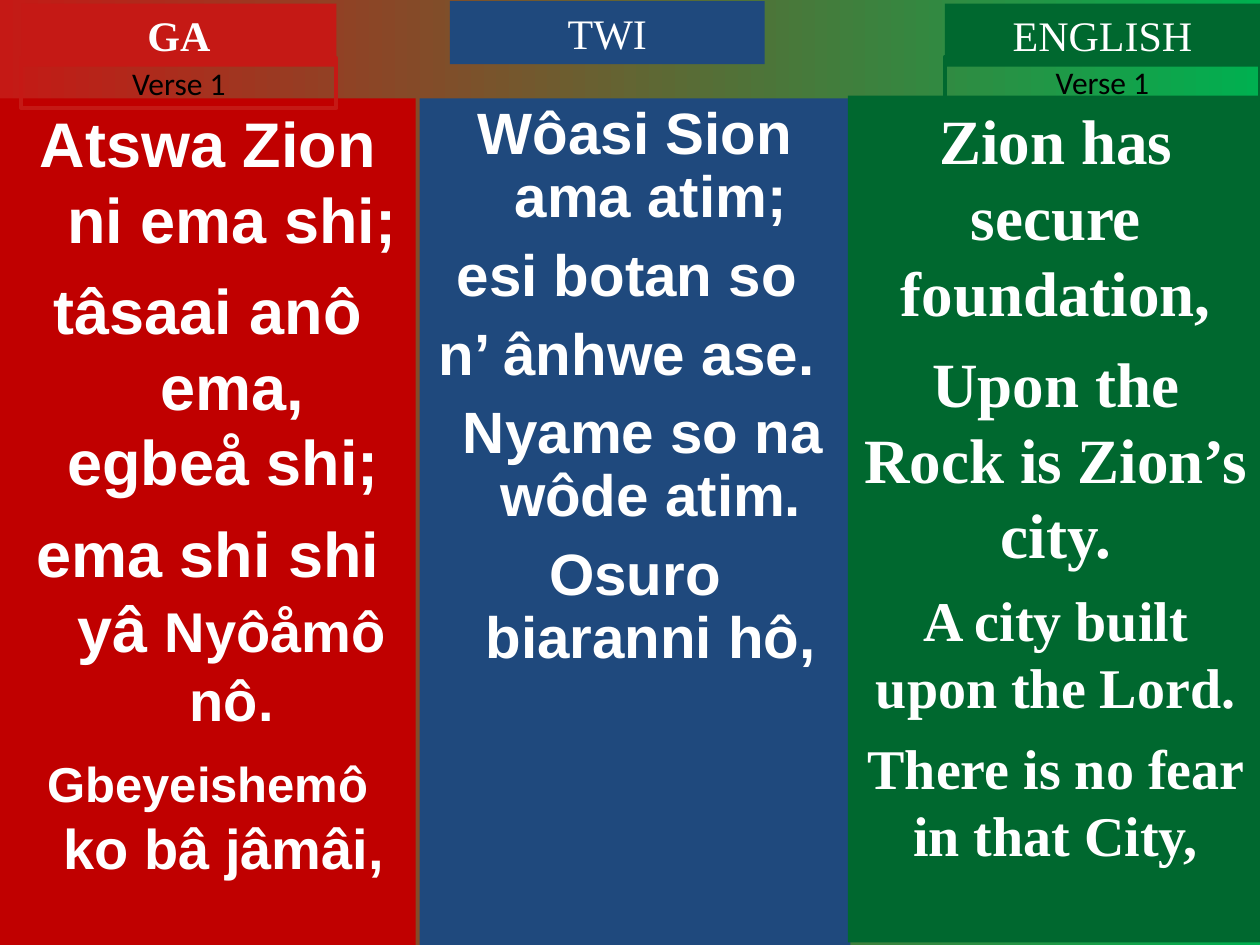
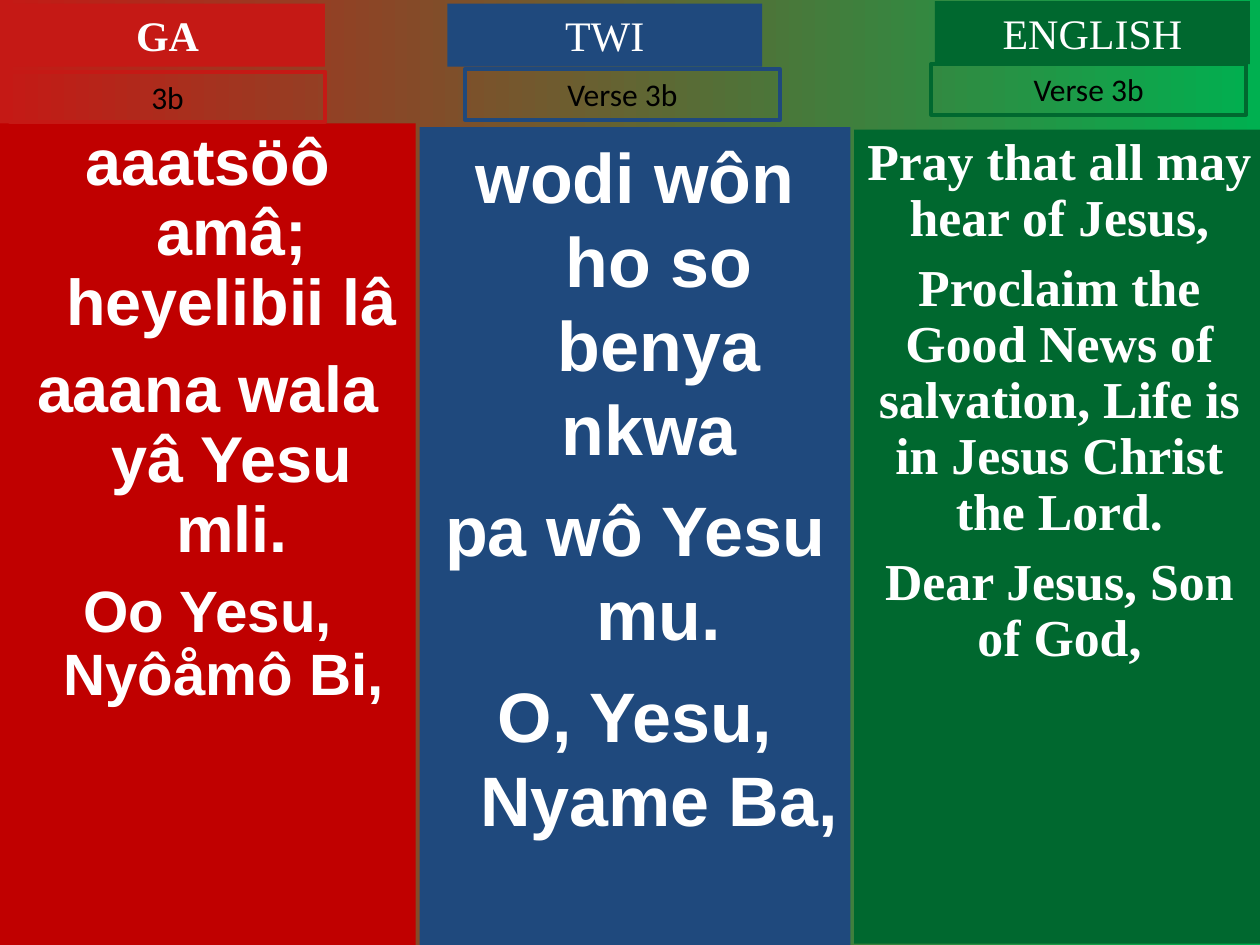
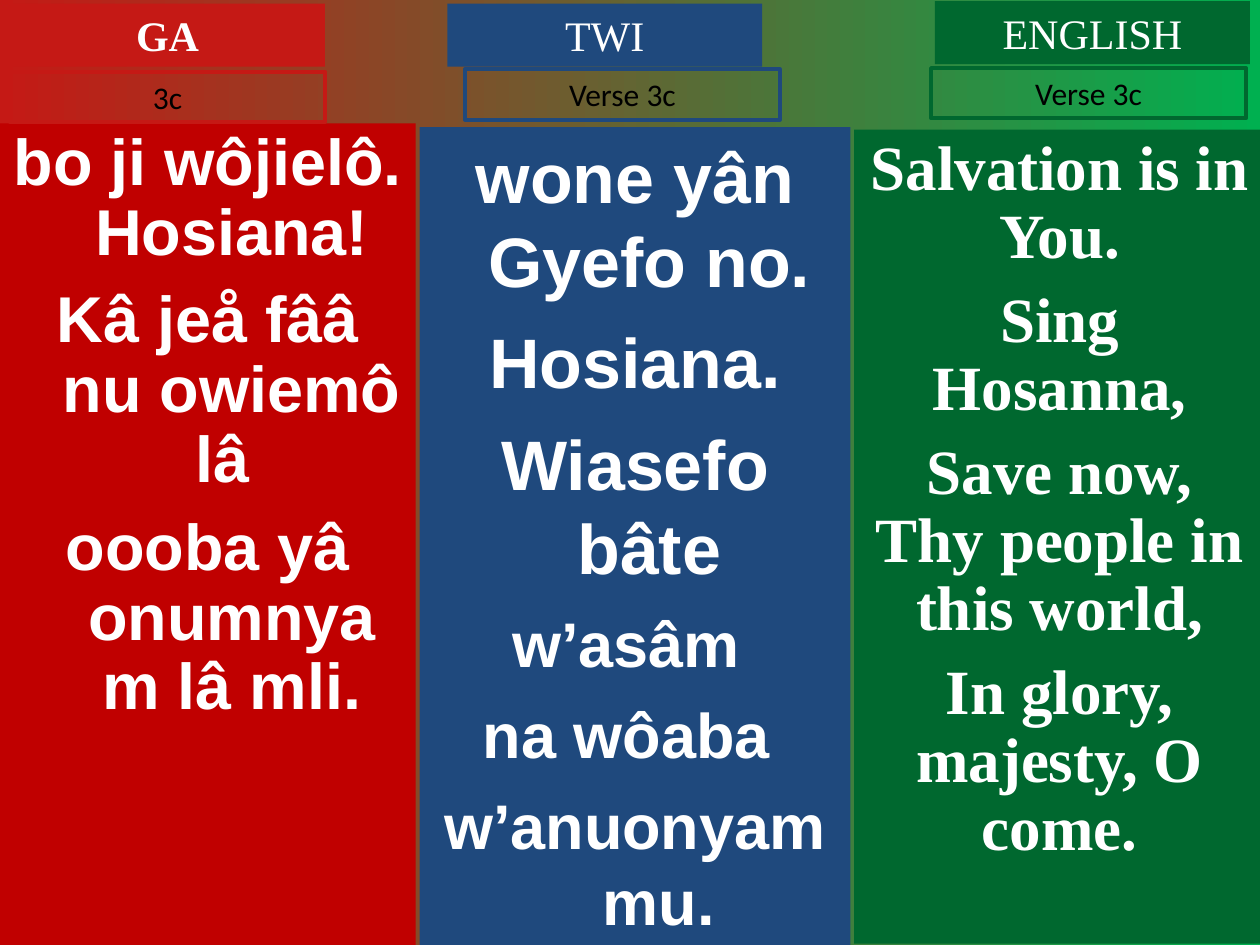
from dataclasses import dataclass
from math import ceil

from pptx import Presentation
from pptx import util as u
from pptx.dml.color import RGBColor
from pptx.enum import shapes, text


@dataclass(frozen=True)
class Theme:
    red: str = "C51915"
    deep_red: str = "C00000"
    blue: str = "1F497D"
    green: str = "00682F"
    bright_green: str = "00B050"
    white: str = "FFFFFF"
    black: str = "000000"
    sans: str = "Arial"
    serif: str = "Times New Roman"
    label: str = "Calibri"
    header_size: float = 24
    verse_size: float = 18
    border: float = 2.25
    hanging: float = 0.38


@dataclass(frozen=True)
class Language:
    name: str
    panel: str
    accent: str
    font: str
    hanging: bool
    bold_header: bool


THEME = Theme()
GA = Language("GA", THEME.deep_red, THEME.red, THEME.sans, True, True)
TWI = Language("TWI", THEME.blue, THEME.blue, THEME.sans, True, False)
ENGLISH = Language("ENGLISH", THEME.green, THEME.green, THEME.serif, False, False)

# Panel boxes, header corners and verse corners, in inches
HEADER_BOX, VERSE_BOX = (2.5, 0.5), (2.5, 0.4)
OPENING = {
    GA: ((0, 0.78, 3.3, 6.72), (0.17, 0.03), (0.17, 0.46)),
    TWI: ((3.33, 0.78, 3.42, 6.72), (3.57, 0.01), None),
    ENGLISH: ((6.73, 0.76, 3.3, 6.72), (7.5, 0.03), (7.5, 0.45)),
}
LATER = {
    GA: ((0, 0.98, 3.3, 6.52), (0.08, 0.03), (0.08, 0.57)),
    TWI: ((3.33, 1.01, 3.42, 6.49), (3.55, 0.03), (3.69, 0.55)),
    ENGLISH: ((6.78, 1.03, 3.26, 6.46), (7.42, 0.01), (7.39, 0.51)),
}
LAST = {**LATER, ENGLISH: (*LATER[ENGLISH][:2], (7.39, 0.54))}


def lines(size, *texts):
    """Paragraphs of one run each, all of one size."""
    return [[(t, size)] for t in texts]


# For each slide: layout, then per language its verse label, line spacing and lyrics
SLIDES = [
    (OPENING, {
        GA: ("Verse 1", 1.0,
             lines(36, "Atswa Zion ni ema shi; ", "tâsaai anô ema, egbeå shi; ")
             + [[("ema shi shi yâ ", 36), ("Nyôåmô nô.", 32)],
                [("Gbeyeishemô", 28), (" ko bâ jâmâi, ", 32)]]),
        TWI: (None, 0.9,
              lines(33.3, "Wôasi Sion ama atim; ", "esi botan so ",
                    "n’ ânhwe ase. ", " Nyame so na wôde atim. ",
                    "Osuro biaranni hô, ")),
        ENGLISH: ("Verse 1", 1.0,
                  lines(36, "Zion has secure foundation,",
                        "Upon the Rock is Zion’s city.")
                  + lines(32, "A city built upon the Lord.",
                          "There is no fear in that City,")),
    }),
    (LATER, {
        GA: ("3b", 0.9,
             lines(37, "aaatsöô amâ; heyelibii lâ ", "aaana wala yâ Yesu mli.")
             + lines(33.3, "Oo Yesu, Nyôåmô Bi, ")),
        TWI: ("Verse 3b", 1.0,
              lines(40, "wodi wôn ho so benya nkwa ", "pa wô Yesu mu.",
                    "O, Yesu, Nyame Ba,")),
        ENGLISH: ("Verse 3b", 0.9,
                  lines(29.6, "Pray that all may hear of Jesus,",
                        "Proclaim the Good News of salvation, "
                        "Life is in Jesus Christ the Lord.",
                        "Dear Jesus, Son of God,")),
    }),
    (LAST, {
        GA: ("3c", 0.9,
             lines(37, "bo ji wôjielô. Hosiana!", "Kâ jeå fââ nu owiemô lâ ",
                   "oooba yâ onumnyam lâ mli.")),
        TWI: ("Verse 3c", 1.0,
              lines(40, "wone yân Gyefo no. ", "Hosiana.", "Wiasefo bâte ")
              + lines(36, "w’asâm ", "na wôaba ", "w’anuonyam mu.")),
        ENGLISH: ("Verse 3c", 0.9,
                  lines(36, "Salvation is in You.", "Sing Hosanna,",
                        "Save now, Thy people in this world,",
                        "In glory, majesty, O come.")),
    }),
]


class HymnDeck:
    def __init__(self, theme):
        self.theme = theme
        self.prs = Presentation()
        self.prs.slide_width, self.prs.slide_height = u.Inches(10), u.Inches(7.5)
        self.s = None

    def new_slide(self):
        self.s = self.prs.slides.add_slide(self.prs.slide_layouts[6])
        fill = self.s.background.fill
        fill.gradient()
        fill.gradient_angle = 0
        for stop, color in zip(fill.gradient_stops,
                               (self.theme.red, self.theme.bright_green)):
            stop.color.rgb = RGBColor.from_string(color)

    def box(self, at, fill=None, line=None):
        sp = self.s.shapes.add_shape(shapes.MSO_SHAPE.RECTANGLE,
                                     *(u.Inches(v) for v in at))
        sp.shadow.inherit = False
        if fill:
            sp.fill.solid()
            sp.fill.fore_color.rgb = RGBColor.from_string(fill)
        else:
            sp.fill.background()
        if line:
            sp.line.color.rgb = RGBColor.from_string(line)
            sp.line.width = u.Pt(self.theme.border)
        else:
            sp.line.fill.background()
        tf = sp.text_frame
        tf.word_wrap = True
        tf.vertical_anchor = text.MSO_ANCHOR.TOP
        return tf

    def format_run(self, r, font, size, color, bold=False):
        r.font.name, r.font.size, r.font.bold = font, u.Pt(size), bold
        r.font.color.rgb = RGBColor.from_string(color)

    def label(self, at, words, font, size, color, bold=False, **style):
        tf = self.box(at, **style)
        tf.auto_size = text.MSO_AUTO_SIZE.SHAPE_TO_FIT_TEXT
        tf.text = words
        p = tf.paragraphs[0]
        p.alignment = text.PP_ALIGN.CENTER
        self.format_run(p.runs[0], font, size, color, bold)

    def header(self, corner, lang):
        self.label((*corner, *HEADER_BOX), lang.name, self.theme.serif,
                   self.theme.header_size, self.theme.white, lang.bold_header,
                   fill=lang.accent)

    def verse(self, corner, lang, words):
        self.label((*corner, *VERSE_BOX), words, self.theme.label,
                   self.theme.verse_size, self.theme.black, line=lang.accent)

    def lyrics(self, at, lang, spacing, paragraphs):
        tf = self.box(at, fill=lang.panel)
        for i, runs in enumerate(paragraphs):
            p = tf.add_paragraph() if i else tf.paragraphs[0]
            p.alignment = text.PP_ALIGN.CENTER
            p.line_spacing = spacing
            # The gap is a quarter of the largest type, rounded up
            p.space_before = u.Pt(ceil(max(size for _, size in runs) / 4) if i else 0)
            if lang.hanging:
                indent = u.Inches(self.theme.hanging)
                pPr = p._p.get_or_add_pPr()
                pPr.set("marL", str(indent))
                pPr.set("indent", str(-indent))
            for words, size in runs:
                r = p.add_run()
                r.text = words
                self.format_run(r, lang.font, size, self.theme.white, True)


def main():
    deck = HymnDeck(THEME)
    for layout, verses in SLIDES:
        deck.new_slide()
        for lang, (panel, header, verse) in layout.items():
            words, spacing, paragraphs = verses[lang]
            deck.lyrics(panel, lang, spacing, paragraphs)
            deck.header(header, lang)
            if verse:
                deck.verse(verse, lang, words)
    deck.prs.save("out.pptx")


if __name__ == "__main__":
    main()
